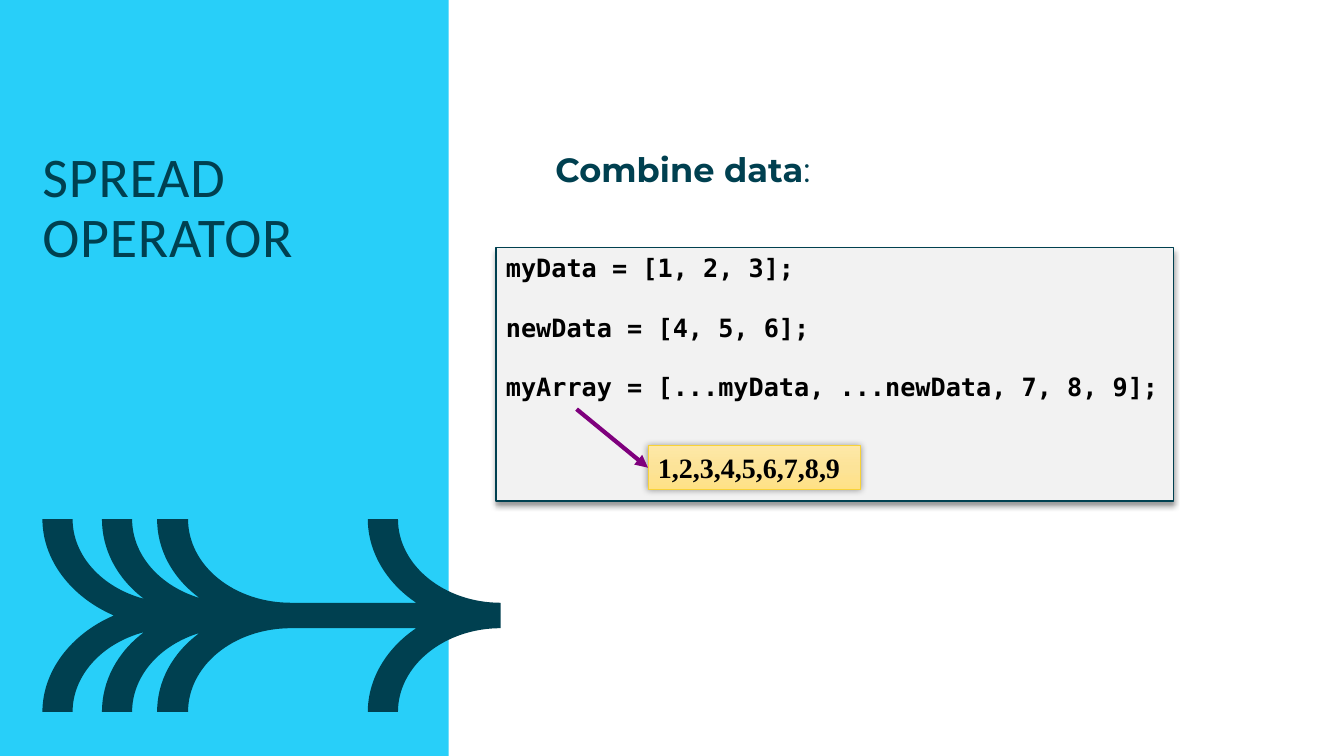
from copy import deepcopy

from lxml.etree import SubElement
from pptx import Presentation
from pptx.dml.color import RGBColor
from pptx.enum.shapes import MSO_CONNECTOR, MSO_SHAPE
from pptx.enum.text import PP_ALIGN
from pptx.oxml.ns import qn
from pptx.util import Cm, Pt

CYAN = RGBColor(0x28, 0xCF, 0xF9)
NAVY = RGBColor(0x00, 0x40, 0x50)
BLACK = RGBColor(0, 0, 0)
GREY = RGBColor(0xF2, 0xF2, 0xF2)
CREAM = RGBColor(0xFE, 0xE8, 0xA7)
SAND = RGBColor(0xFC, 0xE3, 0x98)
AMBER = RGBColor(0xFF, 0xE1, 0x85)
GOLD = RGBColor(0xF8, 0xD2, 0x37)
PLUM = RGBColor(0x7F, 0x00, 0x7D)

AXIS = 15.51  # height of the ornament's line of symmetry, in cm
# Upper half of the ornament: x and height above the axis, in cm.
# One point is a straight line, three are a Bezier curve.
START = (2.87, 0)
EDGE = [
    [(1.78, 0.47), (1.07, 1.41), (1.07, 2.43)],
    [(1.83, 2.43)],
    [(1.83, 1.51), (2.57, 0.7), (3.63, 0.42)],
    [(2.95, 0.93), (2.57, 1.66), (2.57, 2.43)],
    [(3.33, 2.43)],
    [(3.33, 1.54), (4.01, 0.75), (5.03, 0.44)],
    [(4.34, 0.95), (3.96, 1.66), (3.96, 2.43)],
    [(4.74, 2.43)],
    [(4.74, 1.26), (5.89, 0.32), (7.34, 0.32)],
    [(10.49, 0.32)],
    [(9.73, 0.83), (9.27, 1.61), (9.27, 2.43)],
    [(10.03, 2.43)],
    [(10.03, 1.26), (11.2, 0.32), (12.62, 0.32)],
]


def mirror():
    """Return the edge below the axis, run from right to left."""
    ends = [START] + [nodes[-1] for nodes in EDGE]
    back = [nodes[-2::-1] + [end] if len(nodes) > 1 else [end]
            for nodes, end in zip(EDGE, ends)]
    return [[(x, -y) for x, y in nodes] for nodes in reversed(back)]


def add_arrow(slide):
    """Draw the feathered ornament, its lower half mirrored from the upper."""
    right, low = EDGE[-1][-1]
    ring = [[(Cm(x), Cm(AXIS - y)) for x, y in nodes]
            for nodes in EDGE + [[(right, -low)]] + mirror()]
    pen = slide.shapes.build_freeform(Cm(START[0]), Cm(AXIS))
    pen.add_line_segments([nodes[-1] for nodes in ring], close=True)
    shape = pen.convert_to_shape()
    lines = list(shape._element.spPr.iter(qn("a:lnTo")))
    for line, nodes in zip(lines, ring):
        if len(nodes) == 3:
            line.tag = qn("a:cubicBezTo")
            line.clear()
            for x, y in nodes:
                SubElement(line, qn("a:pt"), x=str(x - shape.left),
                           y=str(y - shape.top))
    shape.shadow.inherit = False
    shape.fill.solid()
    shape.fill.fore_color.rgb = NAVY
    shape.line.fill.background()


def add_rect(slide, box, fill=None, line=None, width=1):
    shape = slide.shapes.add_shape(MSO_SHAPE.RECTANGLE, *map(Cm, box))
    shape.shadow.inherit = False
    if fill:
        shape.fill.solid()
        shape.fill.fore_color.rgb = fill
    if line:
        shape.line.color.rgb = line
        shape.line.width = Pt(width)
    else:
        shape.line.fill.background()
    return shape


def shade(shape, colors):
    """Fill the shape from top to bottom with three even colour stops."""
    shape.fill.gradient()
    shape.fill.gradient_angle = 270
    first = shape._element.spPr.find(".//" + qn("a:gs"))
    first.addnext(deepcopy(first))
    for index, stop in enumerate(shape.fill.gradient_stops):
        stop.position = index / 2
        stop.color.rgb = colors[index]


def add_glow(shape, blur, drop=0):
    """Give the shape a soft black shadow, lowered by drop points."""
    effects = shape._element.spPr.find(qn("a:effectLst"))
    shadow = SubElement(effects, qn("a:outerShdw"), blurRad=str(Pt(blur)),
                        dist=str(Pt(drop)), dir="5400000", rotWithShape="0")
    color = SubElement(shadow, qn("a:srgbClr"), val="000000")
    SubElement(color, qn("a:alpha"), val="40000")


def add_box(slide, box):
    shape = slide.shapes.add_textbox(*map(Cm, box))
    frame = shape.text_frame
    frame.margin_left = frame.margin_right = 0
    frame.margin_top = frame.margin_bottom = 0
    return shape


def write(shape, text, font, size, color=BLACK, bold=False, gap=0,
          lead=None, track=0, tail=""):
    """Write one paragraph per line; tail follows the last one, not bold."""
    frame = shape.text_frame
    frame.word_wrap = True
    # Preset shapes centre their text upright unless told otherwise.
    frame._txBody.bodyPr.set("anchor", "t")
    for index, words in enumerate(text.split("\n")):
        para = frame.add_paragraph() if index else frame.paragraphs[0]
        para.alignment = PP_ALIGN.LEFT
        if index:
            para.space_before = Pt(gap)
        if lead:
            para.line_spacing = lead
        para.add_run().text = words
    if tail:
        para.add_run().text = tail
    for para in frame.paragraphs:
        for place, run in enumerate(para.runs):
            run.font.name = font
            run.font.size = Pt(size)
            run.font.bold = bold and place == 0
            run.font.color.rgb = color
            if track:
                run.font._element.set("spc", str(int(track * 100)))


def add_link(slide, start, target, side):
    """Draw an arrow from a point to the middle of the target's side."""
    x, y = map(Cm, start)
    link = slide.shapes.add_connector(MSO_CONNECTOR.STRAIGHT, x, y, x, y)
    link.end_connect(target, side)
    link.line.color.rgb = PLUM
    link.line.width = Pt(3)
    SubElement(link.line._get_or_add_ln(), qn("a:tailEnd"), type="triangle")
    SubElement(link._element.spPr, qn("a:effectLst"))


def main():
    deck = Presentation()
    deck.slide_width, deck.slide_height = Cm(33.87), Cm(19.05)
    slide = deck.slides.add_slide(deck.slide_layouts[6])

    add_rect(slide, (0, 0, 11.31, 19.05), CYAN)
    add_arrow(slide)
    title = add_box(slide, (1.07, 3.75, 9.58, 7.65))
    write(title, "SPREAD OPERATOR", "Calibri", 40, NAVY, lead=0.9, track=0.6)
    head = add_box(slide, (14, 3.76, 16.13, 11.38))
    write(head, "Combine data", "Montserrat", 24, NAVY, bold=True, tail=":")

    code = add_rect(slide, (12.5, 6.23, 17.07, 6.4), GREY, NAVY)
    add_glow(code, 4, 3)
    write(code, "myData = [1, 2, 3];\nnewData = [4, 5, 6];\n"
                "myArray = [...myData, ...newData, 7, 8, 9];",
          "DejaVu Sans Mono", 18, bold=True, gap=21)

    result = add_rect(slide, (16.33, 11.23, 5.36, 1.11), line=GOLD, width=0.5)
    shade(result, (CREAM, SAND, AMBER))
    add_glow(result, 5)
    write(result, "1,2,3,4,5,6,7,8,9", "Times New Roman", 20, bold=True)
    add_link(slide, (14.53, 10.31), result, 1)

    deck.save("out.pptx")


if __name__ == "__main__":
    main()
